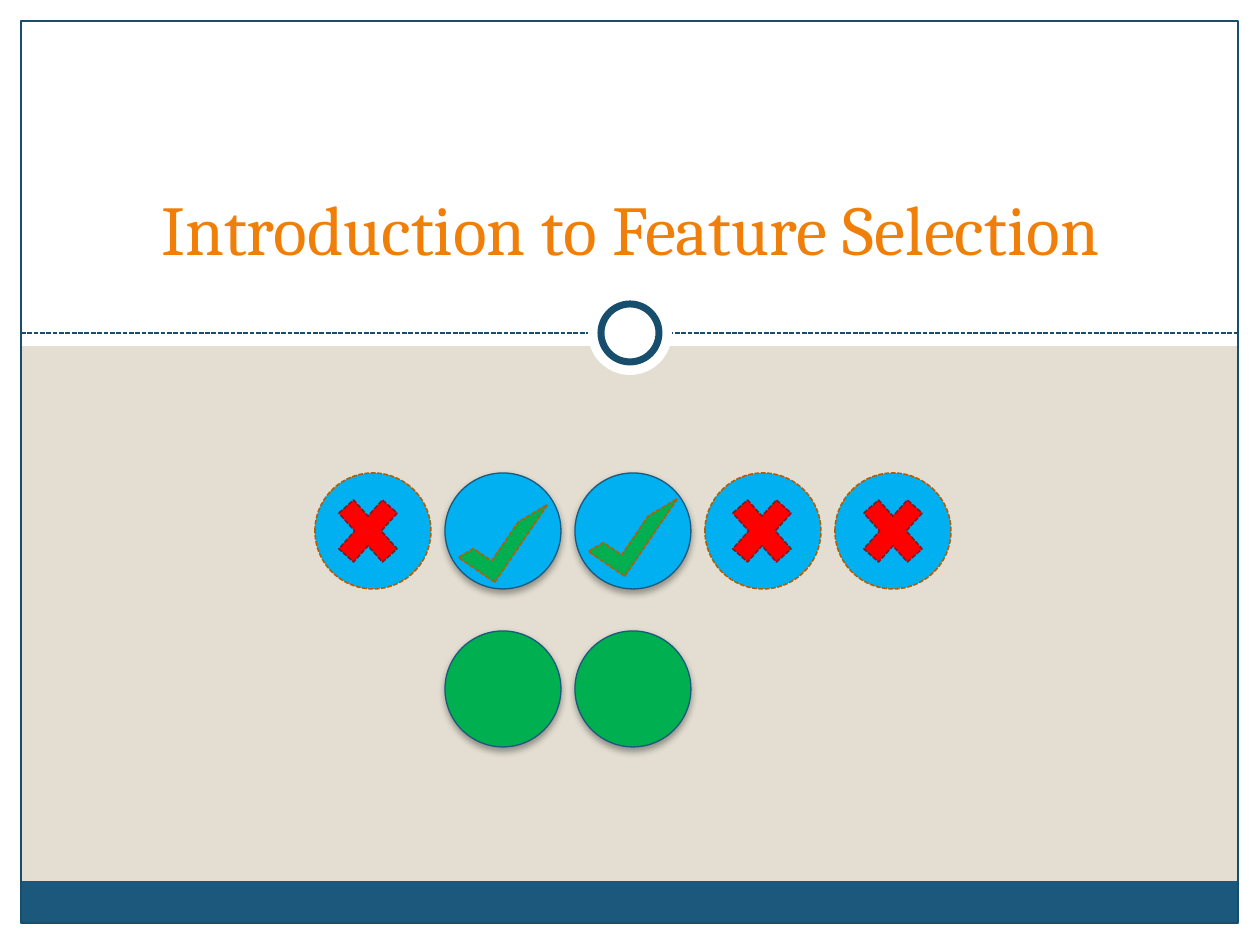
from lxml.etree import SubElement
from pptx import Presentation
from pptx.dml.color import RGBColor
from pptx.enum.dml import MSO_LINE
from pptx.enum.shapes import MSO_CONNECTOR, MSO_SHAPE
from pptx.enum.text import MSO_ANCHOR, PP_ALIGN
from pptx.oxml.ns import qn
from pptx.util import Emu, Pt

WHITE = RGBColor(0xFF, 0xFF, 0xFF)
SAND = RGBColor(0xE3, 0xDE, 0xD1)
NAVY = RGBColor(0x18, 0x4E, 0x6D)
BLUE = RGBColor(0x1B, 0x58, 0x7C)
ORANGE = RGBColor(0xF0, 0x7F, 0x09)
BROWN = RGBColor(0xB2, 0x5E, 0x07)
SKY = RGBColor(0x00, 0xB0, 0xF0)
GREEN = RGBColor(0x00, 0xB0, 0x50)
RED = RGBColor(0xFF, 0x00, 0x00)
MAROON = RGBColor(0x76, 0x1E, 0x28)


class SlideBuilder:
    font = "Cambria"
    scale = 914400 / 126

    def __init__(self, page):
        self.page = page

    def lengths(self, *pixels):
        return [Emu(round(pixel * self.scale)) for pixel in pixels]

    def background(self, color):
        fill = self.page.background.fill
        fill.solid()
        fill.fore_color.rgb = color

    def stroke(self, line, color, width, dashed=False):
        line.color.rgb = color
        line.width = Pt(width)
        if dashed:
            line.dash_style = MSO_LINE.SQUARE_DOT

    def shape(self, kind, area, fill=None, line=None, width=0.75, dashed=False):
        shape = self.page.shapes.add_shape(kind, *self.lengths(*area))
        shape.shadow.inherit = False
        if fill is None:
            shape.fill.background()
        else:
            shape.fill.solid()
            shape.fill.fore_color.rgb = fill
        if line is None:
            shape.line.fill.background()
        else:
            self.stroke(shape.line, line, width, dashed)
        return shape

    def dashed_line(self, left, top, right, bottom, color):
        line = self.page.shapes.add_connector(
            MSO_CONNECTOR.STRAIGHT, *self.lengths(left, top, right, bottom))
        self.stroke(line.line, color, 0.9, True)
        SubElement(line._element.spPr, qn("a:effectLst"))

    def raised_circle(self, area, fill):
        circle = self.shape(MSO_SHAPE.OVAL, area, fill, BLUE)
        effects = circle._element.spPr.find(qn("a:effectLst"))
        shadow = SubElement(effects, qn("a:outerShdw"), blurRad=str(Pt(4)),
                            dist=str(Pt(2)), dir="5400000", rotWithShape="0")
        color = SubElement(shadow, qn("a:srgbClr"), val="000000")
        SubElement(color, qn("a:alpha"), val="35000")

    def flat_circle(self, area, fill):
        self.shape(MSO_SHAPE.OVAL, area, fill, BROWN, 0.9, True)

    def cross(self, area):
        self.shape(MSO_SHAPE.MATH_MULTIPLY, area, RED, MAROON, 0.9, True)

    def check(self, area):
        check = self.shape(MSO_SHAPE.HALF_FRAME, area, GREEN, BROWN, 0.9, True)
        check.adjustments[0] = 0.33
        check.adjustments[1] = 0.36
        check.rotation = 124.2
        check._element.spPr.find(qn("a:xfrm")).set("flipH", "1")

    def title(self, text, area, size, color):
        title = self.page.shapes.title
        title.left, title.top, title.width, title.height = self.lengths(*area)
        self.page.shapes._spTree.append(title._element)
        frame = title.text_frame
        frame.word_wrap = True
        frame.vertical_anchor = MSO_ANCHOR.BOTTOM
        para = frame.paragraphs[0]
        para.alignment = PP_ALIGN.CENTER
        span = para.add_run()
        span.text = text
        span.font.name = self.font
        span.font.size = Pt(size)
        span.font.color.rgb = color


deck = Presentation()
deck.slide_width, deck.slide_height = Emu(9144000), Emu(6858000)
builder = SlideBuilder(deck.slides.add_slide(deck.slide_layouts[5]))

builder.background(SAND)
for margin in [(0, 924, 1260, 21), (1239, 0, 21, 945), (0, 0, 21, 945), (0, 0, 1260, 346)]:
    builder.shape(MSO_SHAPE.RECTANGLE, margin, WHITE)
builder.shape(MSO_SHAPE.RECTANGLE, (21, 881, 1217, 43), BLUE)
builder.dashed_line(21, 333, 1239, 333, NAVY)
builder.shape(MSO_SHAPE.RECTANGLE, (21, 21, 1217, 902), line=NAVY)
builder.shape(MSO_SHAPE.OVAL, (588, 291, 84, 84), WHITE)
builder.shape(MSO_SHAPE.OVAL, (601, 304, 58, 58), WHITE, NAVY, 4)
builder.title("Introduction to Feature Selection", (95, 73, 1070, 203), 40, ORANGE)

FIRST_LEFT, PITCH, DIAMETER = 315, 130, 116
FEATURE_TOP, SELECTED_TOP = 473, 631
CHECK_TOPS = {1: 509, 2: 503}
CROSS_INSETS = {0: 11, 3: 15, 4: 16}

for index in range(5):
    left = FIRST_LEFT + PITCH * index
    feature = (left, FEATURE_TOP, DIAMETER, DIAMETER)
    if index in CHECK_TOPS:
        builder.raised_circle(feature, SKY)
        builder.raised_circle((left, SELECTED_TOP, DIAMETER, DIAMETER), GREEN)
        builder.check((left + 11, CHECK_TOPS[index], 94, 44))
    else:
        builder.flat_circle(feature, SKY)
        builder.cross((left + CROSS_INSETS[index], 484, 84, 94))

deck.save("out.pptx")
